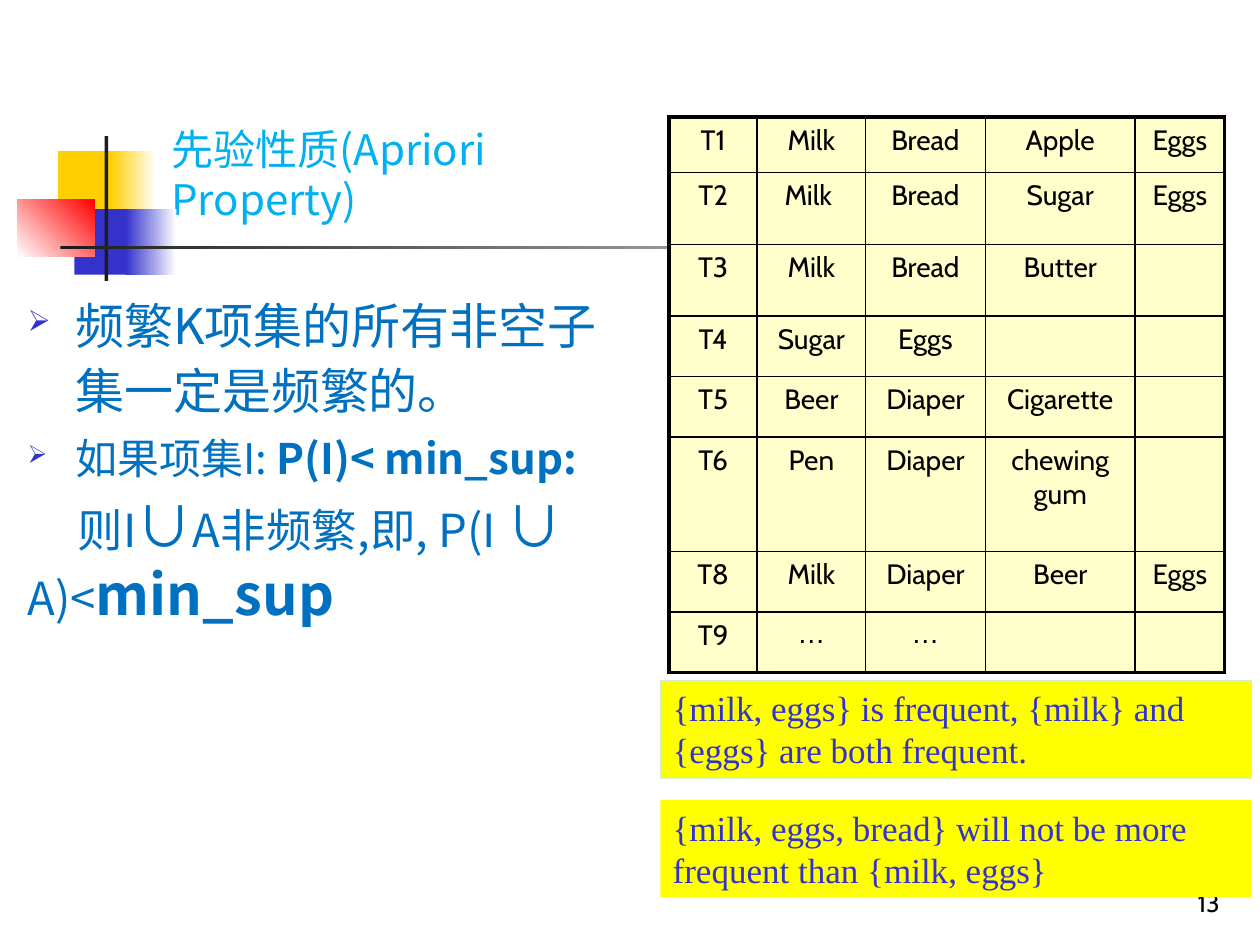
from dataclasses import dataclass
from typing import Optional

from lxml.etree import SubElement
from pptx import Presentation
from pptx.dml.color import RGBColor
from pptx.enum.shapes import MSO_SHAPE as Shape
from pptx.enum.text import MSO_ANCHOR as Anchor, MSO_AUTO_SIZE as AutoSize, PP_ALIGN as Align
from pptx.oxml.ns import qn
from pptx.util import Inches, Pt


@dataclass(frozen=True)
class Theme:
    black: str = "000000"
    ink: str = "1C1C1C"
    white: str = "FFFFFF"
    gold: str = "FFCF01"
    indigo: str = "3333CC"
    red: str = "FF0000"
    sky: str = "00B0F0"
    blue: str = "0070C0"
    cream: str = "FFFFCC"
    yellow: str = "FFFF00"
    mint: str = "CFEFD9"
    title_font: str = "Noto Sans CJK JP"
    body_font: str = "Noto Sans CJK SC"
    table_font: str = "Cabin"
    ellipsis_font: str = "Arial"
    note_font: str = "Times New Roman"
    number_size: float = 14
    cell_size: float = 16
    note_size: float = 20
    title_size: float = 24
    inner_border: float = 1
    outer_border: float = 2.25


@dataclass(frozen=True)
class Block:
    left: float
    top: float
    width: float
    height: float
    color: str
    fade_to: Optional[str] = None
    angle: float = 0
    outline: Optional[str] = None


@dataclass(frozen=True)
class Span:
    text: str
    size: float
    font: str
    color: str
    bold: bool = False


@dataclass(frozen=True)
class Line:
    spans: tuple
    bullet: bool = False


@dataclass(frozen=True)
class Note:
    block: Block
    text: str


THEME = Theme()

DECOR = (
    Block(0.46, 1.2, 0.48, 0.52, THEME.gold),
    Block(0.88, 1.2, 0.36, 0.52, THEME.gold, THEME.white),
    Block(0.59, 1.66, 0.46, 0.52, THEME.indigo),
    Block(1, 1.66, 0.4, 0.52, THEME.indigo, THEME.white),
    Block(0.14, 1.58, 0.61, 0.46, THEME.white, THEME.red, 45),
    Block(0.83, 1.08, 0.03, 1.15, THEME.ink),
    Block(0.48, 1.95, 9, 0.03, THEME.ink, THEME.white),
)


def body_span(text: str, size: float, bold: bool = False) -> Span:
    return Span(text, size, THEME.body_font, THEME.blue, bold)


BODY = (
    Line((body_span("频繁K项集的所有非空子集一定是频繁的。", 28),), True),
    Line((body_span("如果项集I: ", 24), body_span("P(I)< min_sup:", 24, True)), True),
    Line((body_span("则I", 26), body_span("∪", 32), body_span("A非频繁,即, P(I ", 26),
          body_span("∪", 32), body_span(" A)<", 26), body_span("min_sup", 32, True))),
)

COLUMNS = (0.7, 0.86, 0.95, 1.19, 0.71)
ROWS = (0.44, 0.57, 0.57, 0.48, 0.48, 0.91, 0.48, 0.48)
BASKETS = (
    ("T1", "Milk", "Bread", "Apple", "Eggs"),
    ("T2", "Milk ", "Bread", "Sugar", "Eggs"),
    ("T3", "Milk", "Bread", "Butter", ""),
    ("T4", "Sugar", "Eggs", "", ""),
    ("T5", "Beer", "Diaper", "Cigarette", ""),
    ("T6", "Pen", "Diaper", "chewing gum", ""),
    ("T8", "Milk", "Diaper", "Beer", "Eggs"),
    ("T9", "…", "…", "", ""),
)

NOTES = (
    Note(Block(5.24, 5.4, 4.69, 0.78, THEME.yellow, outline=THEME.mint),
         "{milk, eggs} is frequent, {milk} and {eggs} are both frequent."),
    Note(Block(5.24, 6.35, 4.69, 0.77, THEME.yellow),
         "{milk, eggs, bread} will not be more frequent than {milk, eggs}"),
)


def rgb(color: str) -> RGBColor:
    return RGBColor.from_string(color)


def add_span(para, span: Span) -> None:
    run = para.add_run()
    run.text = span.text
    run.font.size = Pt(span.size)
    run.font.name = span.font
    run.font.bold = span.bold
    run.font.color.rgb = rgb(span.color)
    SubElement(run.font._element, qn("a:ea"), typeface=span.font)


def add_block(page, block: Block):
    shape = page.shapes.add_shape(Shape.RECTANGLE, Inches(block.left), Inches(block.top),
                                  Inches(block.width), Inches(block.height))
    shape.shadow.inherit = False
    if block.fade_to:
        shape.fill.gradient()
        shape.fill.gradient_angle = block.angle
        for stop, color in zip(shape.fill.gradient_stops, (block.color, block.fade_to)):
            stop.color.rgb = rgb(color)
    else:
        shape.fill.solid()
        shape.fill.fore_color.rgb = rgb(block.color)
    if block.outline:
        shape.line.color.rgb = rgb(block.outline)
        shape.line.width = Pt(0.75)
    else:
        shape.line.fill.background()
    return shape


def add_title(page) -> None:
    title = page.shapes.title
    title.left, title.top = Inches(1.26), Inches(1.07)
    title.width, title.height = Inches(4.06), Inches(0.76)
    frame = title.text_frame
    frame.auto_size = AutoSize.NONE
    frame.vertical_anchor = Anchor.BOTTOM
    para = frame.paragraphs[0]
    para.alignment = Align.LEFT
    add_span(para, Span("先验性质(Apriori Property)", THEME.title_size, THEME.title_font, THEME.sky))


def add_bullet(para) -> None:
    properties = para._p.get_or_add_pPr()
    properties.set("marL", str(Inches(0.38)))
    properties.set("indent", str(Inches(-0.38)))
    SubElement(SubElement(properties, qn("a:buClr")), qn("a:srgbClr"), val=THEME.indigo)
    SubElement(properties, qn("a:buSzPct"), val="60000")
    SubElement(properties, qn("a:buChar"), char="➢")


def add_body(page) -> None:
    frame = page.shapes.add_textbox(Inches(0.12), Inches(2.25), Inches(4.98), Inches(3.94)).text_frame
    frame.word_wrap = True
    for index, line in enumerate(BODY):
        para = frame.add_paragraph() if index else frame.paragraphs[0]
        para.space_before = Pt(line.spans[0].size * 0.2)
        if line.bullet:
            para.line_spacing = 1.1
            add_bullet(para)
        else:
            para._p.get_or_add_pPr().set("indent", str(Inches(0.4)))
        for span in line.spans:
            add_span(para, span)


def add_borders(cell, row: int, column: int) -> None:
    outer = {"lnL": column == 0, "lnR": column == len(COLUMNS) - 1,
             "lnT": row == 0, "lnB": row == len(ROWS) - 1}
    properties = cell._tc.get_or_add_tcPr()
    for side, is_outer in outer.items():
        width = THEME.outer_border if is_outer else THEME.inner_border
        border = SubElement(properties, qn(f"a:{side}"), w=str(Pt(width)))
        SubElement(SubElement(border, qn("a:solidFill")), qn("a:srgbClr"), val=THEME.black)


def add_baskets(page) -> None:
    table = page.shapes.add_table(len(ROWS), len(COLUMNS), Inches(5.31), Inches(0.93),
                                  Inches(sum(COLUMNS)), Inches(sum(ROWS))).table
    table.first_row = table.horz_banding = False
    for column, width in zip(table.columns, COLUMNS):
        column.width = Inches(width)
    for row, height in zip(table.rows, ROWS):
        row.height = Inches(height)
    for row, basket in enumerate(BASKETS):
        for column, item in enumerate(basket):
            cell = table.cell(row, column)
            add_borders(cell, row, column)
            cell.fill.solid()
            cell.fill.fore_color.rgb = rgb(THEME.cream)
            if item:
                para = cell.text_frame.paragraphs[0]
                para.alignment = Align.CENTER
                para.space_before = Pt(THEME.cell_size * 0.2)
                font = THEME.ellipsis_font if item == "…" else THEME.table_font
                add_span(para, Span(item, THEME.cell_size, font, THEME.black))


def add_note(page, note: Note) -> None:
    frame = add_block(page, note.block).text_frame
    frame.word_wrap = True
    frame.vertical_anchor = Anchor.TOP
    para = frame.paragraphs[0]
    para.alignment = Align.LEFT
    add_span(para, Span(note.text, THEME.note_size, THEME.note_font, THEME.indigo))


def add_page_number(page) -> None:
    frame = page.shapes.add_textbox(Inches(7.7), Inches(6.83), Inches(2.08), Inches(0.5)).text_frame
    frame.word_wrap = True
    frame.vertical_anchor = Anchor.BOTTOM
    para = frame.paragraphs[0]
    para.alignment = Align.RIGHT
    add_span(para, Span("13", THEME.number_size, THEME.table_font, THEME.black))


def main() -> None:
    deck = Presentation()
    deck.slide_width, deck.slide_height = Inches(10), Inches(7.5)
    page = deck.slides.add_slide(deck.slide_layouts[5])
    for block in DECOR:
        add_block(page, block)
    add_page_number(page)
    add_title(page)
    add_body(page)
    add_baskets(page)
    for note in NOTES:
        add_note(page, note)
    deck.save("out.pptx")


if __name__ == "__main__":
    main()
